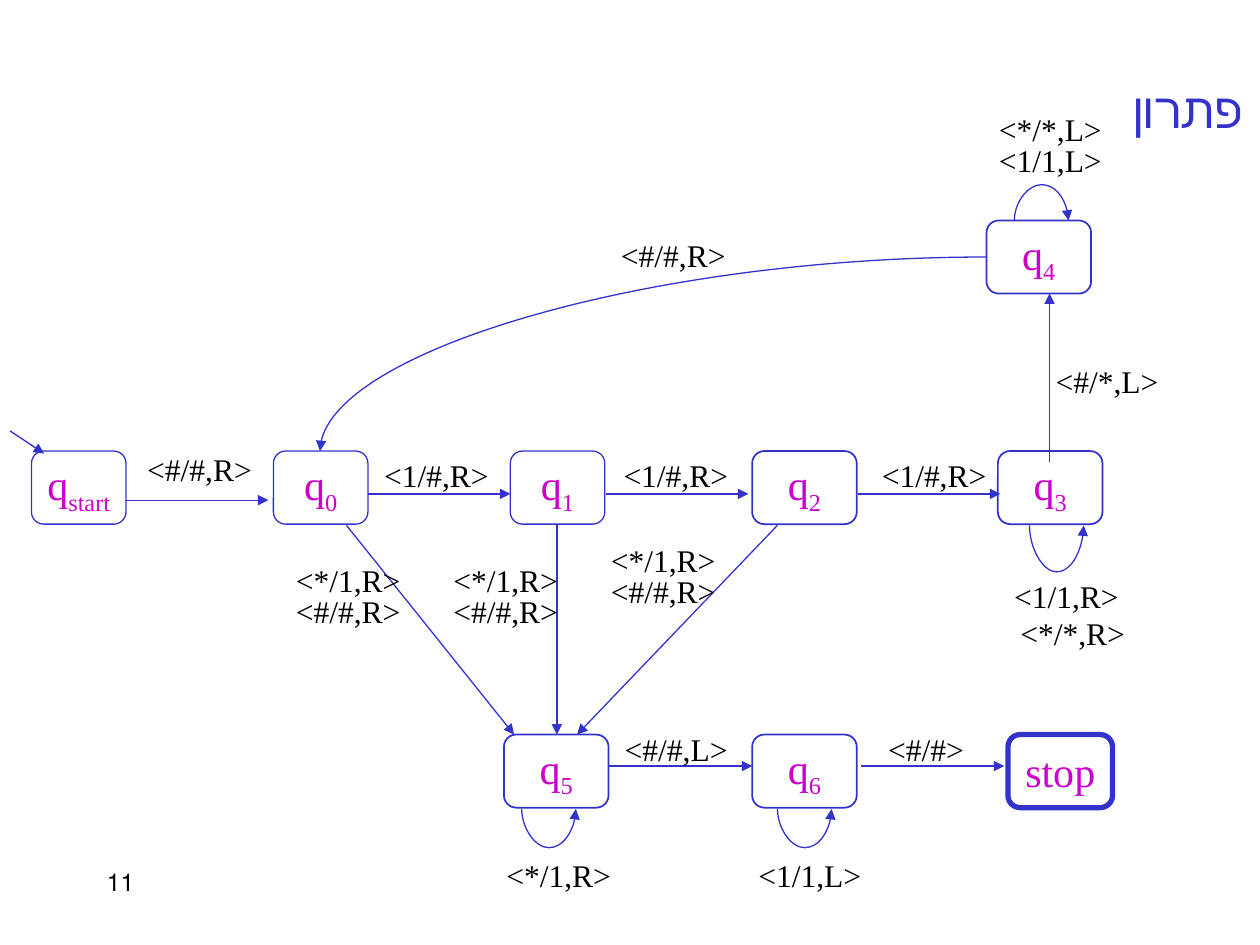
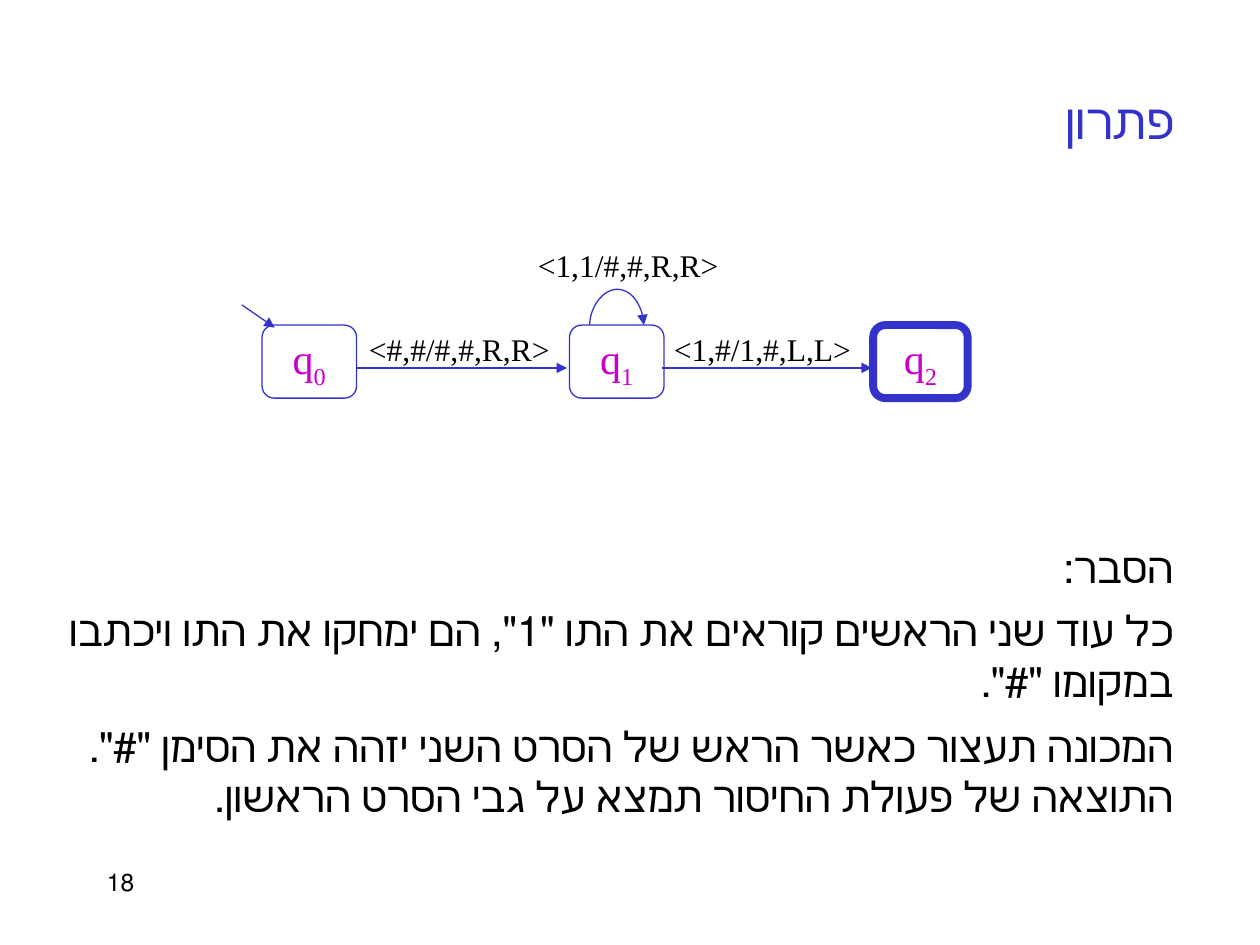
import pptx
import pptx.dml.color
import pptx.enum.shapes
import pptx.enum.text
import pptx.oxml
import pptx.oxml.ns
import pptx.util

Inches = pptx.util.Inches
Pt = pptx.util.Pt
ALIGN = pptx.enum.text.PP_ALIGN
ANCHOR = pptx.enum.text.MSO_ANCHOR
CONNECTOR = pptx.enum.shapes.MSO_CONNECTOR
BLUE = pptx.dml.color.RGBColor(0x33, 0x33, 0xCC)
MAGENTA = pptx.dml.color.RGBColor(0xCC, 0x00, 0xCC)
BLACK = pptx.dml.color.RGBColor(0x00, 0x00, 0x00)
WHITE = pptx.dml.color.RGBColor(0xFF, 0xFF, 0xFF)
FONT = "Times New Roman"
NAMESPACE = pptx.oxml.ns.nsdecls("a")
NODE_HEIGHT = 0.58
LOOP_WIDTH = 0.43
LOOP_UNIT = 1588  # thickness in EMU that a loop's bulge is a multiple of


def set_all(target, values):
    """Set every attribute named in a dict."""
    for name, value in values.items():
        setattr(target, name, value)


class Deck:
    """The shared style and the slide being built."""

    def __init__(self):
        """Start an empty presentation."""
        self.presentation = pptx.Presentation()
        set_all(self.presentation,
                {"slide_width": Inches(10), "slide_height": Inches(7.5)})
        self.slide = None

    def new_slide(self, title, left, top, width, number):
        """Start a slide with its title and page number."""
        layout = self.presentation.slide_layouts[5]
        self.slide = self.presentation.slides.add_slide(layout)
        shape = self.slide.shapes.title
        set_all(shape, {"left": Inches(left), "top": Inches(top),
                        "width": Inches(width), "height": Inches(0.57)})
        set_all(shape.text_frame, {"vertical_anchor": ANCHOR.TOP, "word_wrap": True,
                                   "auto_size": pptx.enum.text.MSO_AUTO_SIZE.NONE})
        self.add_runs(shape, [title], 28, BLUE, ALIGN.RIGHT, rtl=True)
        self.text(number, 0.75, 6.83, 2.08, 0.5, 14, ALIGN.LEFT, rtl=True)

    def add_runs(self, shape, runs, size, color, alignment, rtl=False):
        """Fill one paragraph; a second run is a subscript."""
        paragraph = shape.text_frame.paragraphs[0]
        paragraph.alignment = alignment
        if rtl:
            paragraph._p.get_or_add_pPr().set("rtl", "1")
        for index, words in enumerate(runs):
            run = paragraph.add_run()
            run.text = words
            set_all(run.font, {"name": FONT, "size": Pt(size)})
            run.font.color.rgb = color
            if index:
                run._r.get_or_add_rPr().set("baseline", "-25000")

    def text(self, words, left, top, width, height, size, alignment, rtl=False):
        """Add a wrapped black text box."""
        shape = self.slide.shapes.add_textbox(
            Inches(left), Inches(top), Inches(width), Inches(height))
        shape.text_frame.word_wrap = True
        self.add_runs(shape, [words], size, BLACK, alignment, rtl)
        return shape

    def label(self, words, left, top, width=1.22):
        """Add the label of a transition."""
        shape = self.text(words, left, top, width, 0.5, 18, ALIGN.LEFT)
        shape.text_frame.margin_top = Inches(0.12)

    def node(self, runs, left, top, width=0.75, weight=0.75):
        """Add a state box."""
        shape = self.slide.shapes.add_shape(
            pptx.enum.shapes.MSO_SHAPE.ROUNDED_RECTANGLE,
            Inches(left), Inches(top), Inches(width), Inches(NODE_HEIGHT))
        shape.shadow.inherit = False
        shape.fill.solid()
        shape.fill.fore_color.rgb = WHITE
        shape.line.color.rgb = BLUE
        shape.line.width = Pt(weight)
        set_all(shape.text_frame,
                {"word_wrap": False, "vertical_anchor": ANCHOR.MIDDLE})
        self.add_runs(shape, runs, 24, MAGENTA, ALIGN.CENTER, rtl=True)

    def arrow(self, x1, y1, x2, y2, kind=CONNECTOR.STRAIGHT):
        """Add a connector with an arrowhead at its end."""
        connector = self.slide.shapes.add_connector(
            kind, Inches(x1), Inches(y1), Inches(x2), Inches(y2))
        connector.line.color.rgb = BLUE
        connector.line.width = Pt(0.75)
        properties = connector._element.spPr
        properties.ln.append(pptx.oxml.parse_xml(
            f'<a:tailEnd {NAMESPACE} type="triangle"/>'))
        properties.append(pptx.oxml.parse_xml(f"<a:effectLst {NAMESPACE}/>"))
        return connector

    def arc(self, x1, y1, x2, y2):
        """Add a quarter curve that leaves sideways and arrives vertically."""
        connector = self.arrow(x1, y1, x2, y2, CONNECTOR.CURVE)
        connector._element.spPr.prstGeom.set("prst", "curvedConnector2")

    def loop(self, left, edge, bulge):
        """Add a self-loop on a box edge; a negative bulge goes upwards."""
        center = left + LOOP_WIDTH / 2
        connector = self.arrow(center, edge - LOOP_WIDTH / 2,
                               center, edge + LOOP_WIDTH / 2, CONNECTOR.CURVE)
        connector.width = LOOP_UNIT
        properties = connector._element.spPr
        for name, value in {"rot": "5400000", "flipV": "1"}.items():
            properties.xfrm.set(name, value)
        guides = properties.prstGeom.get_or_add_avLst()
        guides.append(pptx.oxml.parse_xml(
            f'<a:gd {NAMESPACE} name="adj1" fmla="val {bulge * 100000}"/>'))


def build_single_tape(deck):
    """Build the machine with one tape."""
    deck.new_slide("פתרון", 8.71, 0.58, 1.25, "11")
    row, bottom_row = 3.58, 5.83
    for runs, left, top, width, weight in [
            (["q", "start"], 0.25, row, 0.75, 0.75),
            (["q", "0"], 2.17, row, 0.75, 0.75),
            (["q", "1"], 4.05, row, 0.75, 0.75),
            (["q", "2"], 5.97, row, 0.83, 1),
            (["q", "3"], 7.92, row, 0.83, 1),
            (["q", "4"], 7.83, 1.75, 0.83, 1),
            (["q", "5"], 4, bottom_row, 0.83, 1),
            (["q", "6"], 5.97, bottom_row, 0.83, 1),
            (["stop"], 8, bottom_row, 0.83, 3)]:
        deck.node(runs, left, top, width, weight)
    deck.arrow(0.08, 3.42, 0.35, 3.6)
    deck.arrow(1, 3.97, 2.13, 3.97)
    for left in (2.92, 4.81, 6.81):
        deck.arrow(left, 3.92, left + 1.13, 3.92)
    for left in (4.83, 6.83):
        deck.arrow(left, 6.08, left + 1.14, 6.08)
    deck.arrow(8.33, 3.67, 8.33, 2.33)
    for start, end in [(2.75, 4.08), (4.42, 4.42), (6.17, 4.58)]:
        deck.arrow(start, 4.17, end, bottom_row)
    deck.arc(7.83, 2.04, 2.54, row)
    for left, edge, bulge in [(8.17, 4.17, 235), (8.05, 1.75, -180),
                              (4.14, 6.42, 196), (6.17, 6.42, 196)]:
        deck.loop(left, edge, bulge)
    for left in (2.95, 4.85, 6.9):
        deck.label("<1/#,R>", left, 3.5)
    for left, top in [(2.25, 4.33), (3.5, 4.33), (4.75, 4.17)]:
        deck.label("<*/1,R>", left, top)
        deck.label("<#/#,R>", left, top + 0.25)
    for words, left, top in [
            ("<#/#,R>", 1.07, 3.45), ("<#/#,R>", 4.83, 1.75),
            ("<*/*,L>", 7.83, 0.75), ("<1/1,L>", 7.83, 1),
            ("<#/*,L>", 8.28, 2.75), ("<1/1,R>", 7.95, 4.46),
            ("<*/*,R>", 8, 4.75), ("<#/#,L>", 4.86, 5.67),
            ("<#/#>", 6.95, 5.67), ("<*/1,R>", 3.92, 6.67),
            ("<1/1,L>", 5.92, 6.67)]:
        deck.label(words, left, top)


def build_two_tapes(deck):
    """Build the machine with two tapes and its explanation."""
    deck.new_slide("פתרון", 7.5, 0.67, 1.92, "18")
    row = 2.58
    for index, (left, weight) in enumerate([(2.08, 0.75), (4.52, 0.75), (6.93, 4.5)]):
        deck.node(["q", str(index)], left, row, weight=weight)
    deck.arrow(1.92, 2.42, 2.18, 2.6)
    for left in (2.83, 5.25):
        deck.arrow(left, 2.92, left + 1.67, 2.92)
    deck.loop(4.68, row, -180)
    for words, left, top in [("<#,#/#,#,R,R>", 2.83, 2.5),
                             ("<1,#/1,#,L,L>", 5.25, 2.5),
                             ("<1,1/#,#,R,R>", 4.17, 1.83)]:
        deck.label(words, left, top, 1.77)
    for words, top, height in [
            ("הסבר:", 4.25, 0.5),
            ('כל עוד שני הראשים קוראים את התו "1", הם ימחקו את התו '
             'ויכתבו במקומו "#".', 4.75, 0.9),
            ('המכונה תעצור כאשר הראש של הסרט השני יזהה את הסימן "#". '
             'התוצאה של פעולת החיסור תמצא על גבי הסרט הראשון.', 5.67, 0.9)]:
        deck.text(words, 0.33, top, 9.08, height, 24, ALIGN.RIGHT, rtl=True)


def main():
    """Build both slides and save them."""
    deck = Deck()
    build_single_tape(deck)
    build_two_tapes(deck)
    deck.presentation.save("out.pptx")


main()
